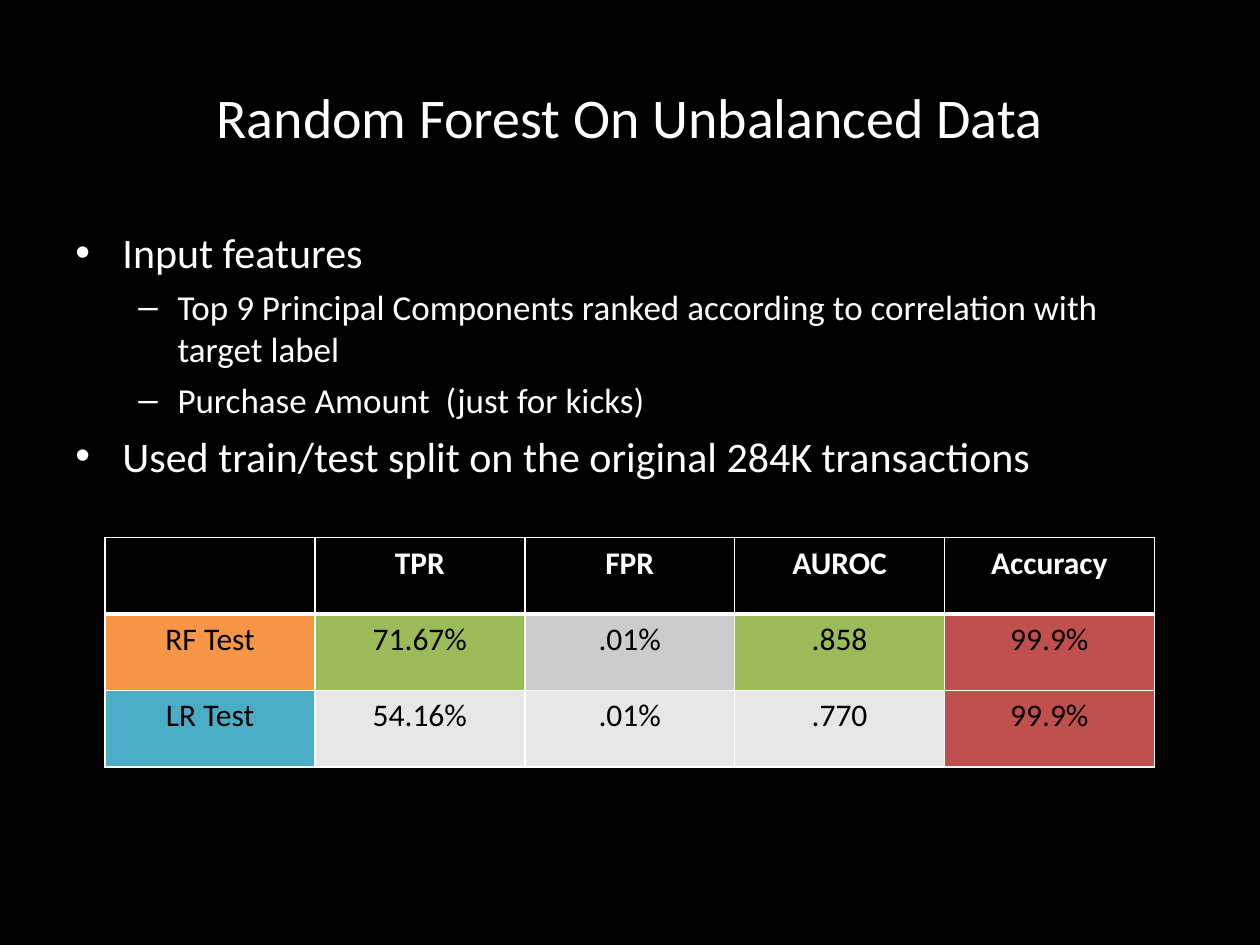
from lxml import etree
from pptx import Presentation
from pptx import util as u
from pptx.dml.color import RGBColor
from pptx.enum import text
from pptx.oxml.ns import qn

COLORS = {
    "black": "000000", "white": "FFFFFF", "orange": "F79646", "blue": "4BACC6",
    "green": "9BBB59", "red": "C0504D", "gray": "CCCCCC", "light": "E7E7E7",
}
LEVELS = [
    {"size": 24, "bullet": "•", "margin": 0.95, "hang": 0.95},
    {"size": 20, "bullet": "–", "margin": 2.06, "hang": 0.79},
]
FEATURES = [
    (0, "Input features"),
    (1, "Top 9 Principal Components ranked according to correlation with target label"),
    (1, "Purchase Amount  (just for kicks)"),
    (0, "Used train/test split on the original 284K transactions"),
]
SCORES = [
    ["", "TPR", "FPR", "AUROC", "Accuracy"],
    ["RF Test", "71.67%", ".01%", ".858", "99.9%"],
    ["LR Test", "54.16%", ".01%", ".770", "99.9%"],
]
SCORE_FILLS = [
    ["black"] * 5,
    ["orange", "green", "gray", "green", "red"],
    ["blue", "light", "light", "light", "red"],
]


def write(paragraph, content, size=18, color="white", bold=False, align=None, font="Calibri"):
    """Add formatted text to a paragraph."""
    run = paragraph.add_run()
    run.text = content
    run.font.name = font
    run.font.size = u.Pt(size)
    run.font.bold = bold
    run.font.color.rgb = RGBColor.from_string(COLORS[color])
    paragraph.alignment = align


class SlideBuilder:
    """Hold the style and the current slide."""

    def __init__(self, slide, background="black", border="white"):
        self.slide = slide
        self.border = border
        fill = slide.background.fill
        fill.solid()
        fill.fore_color.rgb = RGBColor.from_string(COLORS[background])

    def text_frame(self, left, top, width, height, anchor):
        """Add a wrapping text box and return its frame."""
        box = self.slide.shapes.add_textbox(u.Cm(left), u.Cm(top), u.Cm(width), u.Cm(height))
        box.text_frame.word_wrap = True
        box.text_frame.vertical_anchor = anchor
        return box.text_frame

    def title(self, content, *place):
        """Add a centred title."""
        frame = self.text_frame(*place, text.MSO_ANCHOR.MIDDLE)
        write(frame.paragraphs[0], content, size=32, align=text.PP_ALIGN.CENTER)

    def bullets(self, items, *place):
        """Add a two-level bullet list."""
        frame = self.text_frame(*place, text.MSO_ANCHOR.TOP)
        for index, (level, content) in enumerate(items):
            paragraph = frame.add_paragraph() if index else frame.paragraphs[0]
            style = LEVELS[level]
            paragraph.level = level
            paragraph.space_before = u.Pt(round(style["size"] * 0.24, 1))
            write(paragraph, content, size=style["size"])
            properties = paragraph._p.get_or_add_pPr()
            properties.set("marL", str(u.Cm(style["margin"])))
            properties.set("indent", str(-u.Cm(style["hang"])))
            etree.SubElement(properties, qn("a:buFont"), typeface="Arial")
            etree.SubElement(properties, qn("a:buChar"), char=style["bullet"])

    def cell_borders(self, cell, **widths):
        """Draw the given sides of a cell, with widths in points."""
        properties = cell._tc.get_or_add_tcPr()
        for side, width in widths.items():
            line = etree.SubElement(properties, qn(f"a:ln{side}"), w=str(u.Pt(width)))
            fill = etree.SubElement(line, qn("a:solidFill"))
            etree.SubElement(fill, qn("a:srgbClr"), val=COLORS[self.border])

    def table(self, rows, fills, left, top, column_width, row_height):
        """Add a table with a bold header row."""
        count = len(rows[0])
        table = self.slide.shapes.add_table(
            len(rows), count, u.Cm(left), u.Cm(top),
            u.Cm(column_width * count), u.Cm(row_height * len(rows))).table
        for row, (values, names) in enumerate(zip(rows, fills)):
            header = row == 0
            for column, (value, name) in enumerate(zip(values, names)):
                cell = table.cell(row, column)
                self.cell_borders(cell, L=1, R=1, T=3 if row == 1 else 1, B=3 if header else 1)
                cell.fill.solid()
                cell.fill.fore_color.rgb = RGBColor.from_string(COLORS[name])
                if value:
                    write(cell.text_frame.paragraphs[0], value, bold=header,
                          color="white" if header else "black", align=text.PP_ALIGN.CENTER)


def main():
    """Build and save the presentation."""
    presentation = Presentation()
    presentation.slide_width = u.Cm(25.4)
    presentation.slide_height = u.Cm(19.05)
    builder = SlideBuilder(presentation.slides.add_slide(presentation.slide_layouts[6]))
    builder.title("Random Forest On Unbalanced Data", 1.27, 0.76, 22.86, 3.18)
    builder.bullets(FEATURES, 1.27, 4.45, 22.86, 12.57)
    builder.table(SCORES, SCORE_FILLS, 2.12, 10.84, 4.23, 1.54)
    presentation.save("out.pptx")


if __name__ == "__main__":
    main()
